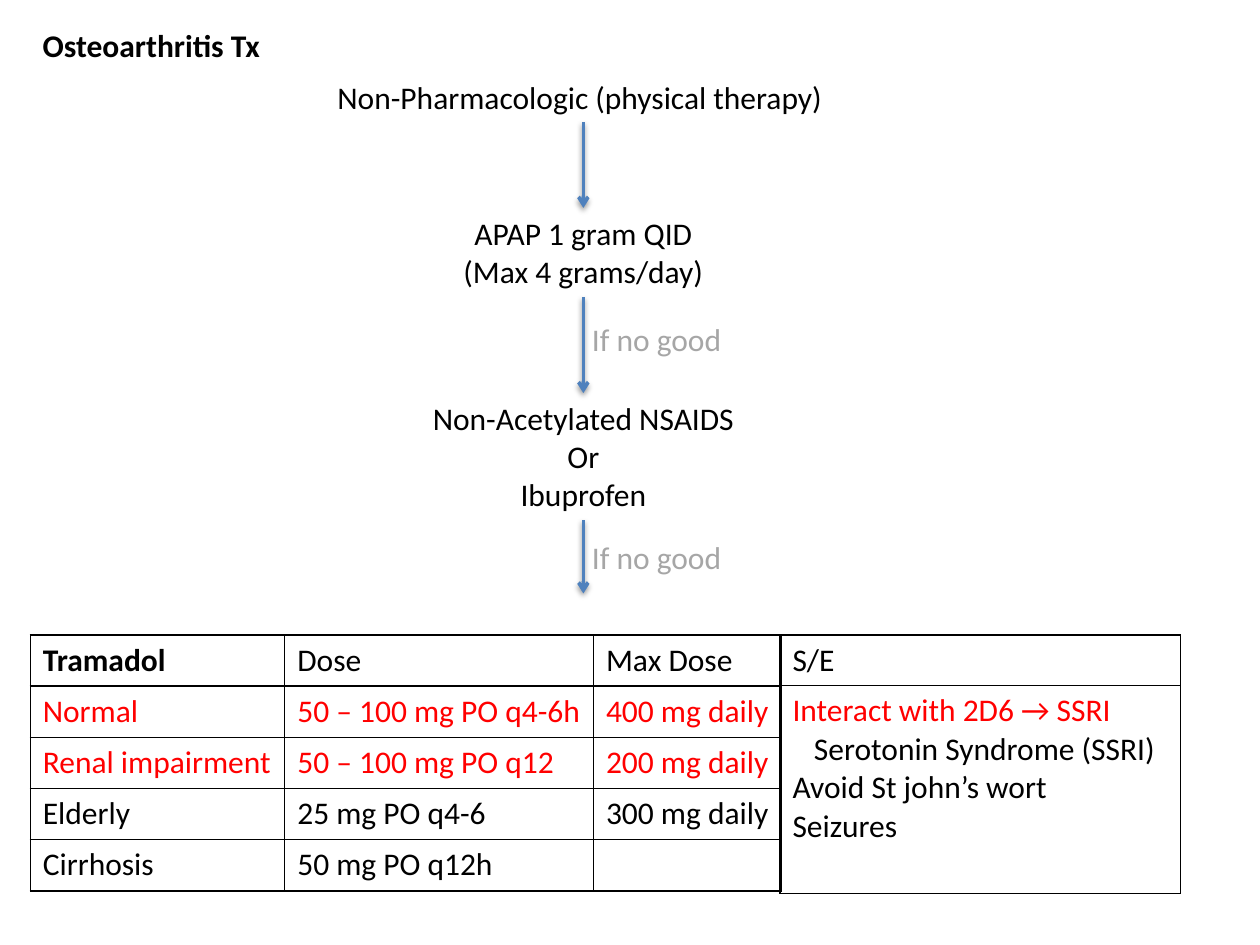
import pptx
import pptx.dml.color
import pptx.enum.shapes
import pptx.enum.text
import pptx.oxml
import pptx.oxml.ns
import pptx.util

PX = 9144  # EMU per px, 100 px to the inch
FONT, SIZE = "Calibri", 18
COLORS = {"black": "000000", "red": "FF0000", "gray": "A6A6A6", "blue": "4F81BD"}
NS = pptx.oxml.ns.nsdecls("a")
LEFT = pptx.enum.text.PP_ALIGN.LEFT
CENTER = pptx.enum.text.PP_ALIGN.CENTER


def rgb(name):
    return pptx.dml.color.RGBColor.from_string(COLORS[name])


class Slide:
    def __init__(self, prs):
        self.s = prs.slides.add_slide(prs.slide_layouts[6])

    def add_lines(self, tf, lines, align=LEFT):
        """Each line is (text, color, bold, indent); all but text may be left out."""
        for i, line in enumerate(lines):
            text, color, bold, indent = (*line, *("black", False, 0)[len(line) - 1:])
            p = tf.paragraphs[0] if i == 0 else tf.add_paragraph()
            p.alignment = align
            if indent:
                p._p.get_or_add_pPr().set("marL", str(indent * PX))
            r = p.add_run()
            r.text = text
            r.font.name, r.font.size = FONT, pptx.util.Pt(SIZE)
            r.font.bold = bold
            r.font.color.rgb = rgb(color)

    def text(self, x, y, w, h, lines, align=LEFT):
        sp = self.s.shapes.add_textbox(x * PX, y * PX, w * PX, h * PX)
        tf = sp.text_frame
        tf.word_wrap = False
        tf.auto_size = pptx.enum.text.MSO_AUTO_SIZE.SHAPE_TO_FIT_TEXT
        self.add_lines(tf, lines, align)
        return sp

    def arrow(self, x, y1, y2, begin, end=None):
        c = self.s.shapes.add_connector(
            pptx.enum.shapes.MSO_CONNECTOR.STRAIGHT, x * PX, y1 * PX, x * PX, y2 * PX)
        c.begin_connect(begin, 2)
        if end is not None:
            c.end_connect(end, 0)
        c.line.color.rgb = rgb("blue")
        c.line.width = pptx.util.Pt(2)
        c.line._get_or_add_ln().append(pptx.oxml.parse_xml(f'<a:tailEnd {NS} type="arrow"/>'))
        c._element.spPr.append(pptx.oxml.parse_xml(
            f'<a:effectLst {NS}><a:outerShdw blurRad="39370" dist="20320" dir="5400000" '
            f'rotWithShape="0"><a:srgbClr val="{COLORS["black"]}"><a:alpha val="38000"/>'
            '</a:srgbClr></a:outerShdw></a:effectLst>'))

    def border(self, cell):
        tcPr = cell._tc.get_or_add_tcPr()
        for i, side in enumerate(("lnL", "lnR", "lnT", "lnB")):
            tcPr.insert(i, pptx.oxml.parse_xml(
                f'<a:{side} {NS} w="12700"><a:solidFill><a:srgbClr val="{COLORS["black"]}"/>'
                f'</a:solidFill></a:{side}>'))

    def table(self, x, y, h, widths, rows, heights=()):
        """Rows are of equal height unless heights are given."""
        t = self.s.shapes.add_table(len(rows), len(widths), x * PX, y * PX,
                                    sum(widths) * PX, h * PX).table
        t.first_row = t.horz_banding = False
        for col, w in zip(t.columns, widths):
            col.width = w * PX
        for row, height in zip(t.rows, heights):
            row.height = height * PX
        for row, cells in zip(t.rows, rows):
            for cell, lines in zip(row.cells, cells):
                cell.fill.background()
                self.border(cell)
                self.add_lines(cell.text_frame, lines)


def main():
    prs = pptx.Presentation()
    prs.slide_width, prs.slide_height = 1000 * PX, 750 * PX
    s = Slide(prs)

    # Title
    s.text(24, 16, 197, 40, [("Osteoarthritis Tx", "black", True)])

    # Treatment steps
    therapy = s.text(258, 57, 410, 40, [("Non-Pharmacologic (physical therapy)",)])
    apap = s.text(356, 165, 214, 71, [("APAP 1 gram QID",), ("(Max 4 grams/day)",)], CENTER)
    nsaids = s.text(332, 312, 262, 101,
                    [("Non-Acetylated NSAIDS",), ("Or",), ("Ibuprofen",)], CENTER)

    # Arrows between steps
    s.arrow(463, 97, 165, therapy, apap)
    s.arrow(463, 236, 312, apap, nsaids)
    s.arrow(463, 413, 471, nsaids)
    for y in (249, 422):
        s.text(460, y, 124, 40, [("If no good", "gray")])

    # Tramadol dosing
    doses = [
        ("black", "Tramadol", "Dose", "Max Dose"),
        ("red", "Normal", "50 – 100 mg PO q4-6h", "400 mg daily"),
        ("red", "Renal impairment", "50 – 100 mg PO q12", "200 mg daily"),
        ("black", "Elderly", "25 mg PO q4-6", "300 mg daily"),
        ("black", "Cirrhosis", "50 mg PO q12h", ""),
    ]
    s.table(24, 504, 203, (202, 245, 149),
            [[[(text, color, text == "Tramadol")] if text else [] for text in texts]
             for color, *texts in doses])

    # Side effects
    s.table(619, 504, 205, (318,), [
        [[("S/E",)]],
        [[("Interact with 2D6 → SSRI", "red"),
          ("Serotonin Syndrome (SSRI)", "black", False, 17),
          ("Avoid St john’s wort",),
          ("Seizures",)]],
    ], (40, 165))

    prs.save("out.pptx")


if __name__ == "__main__":
    main()
